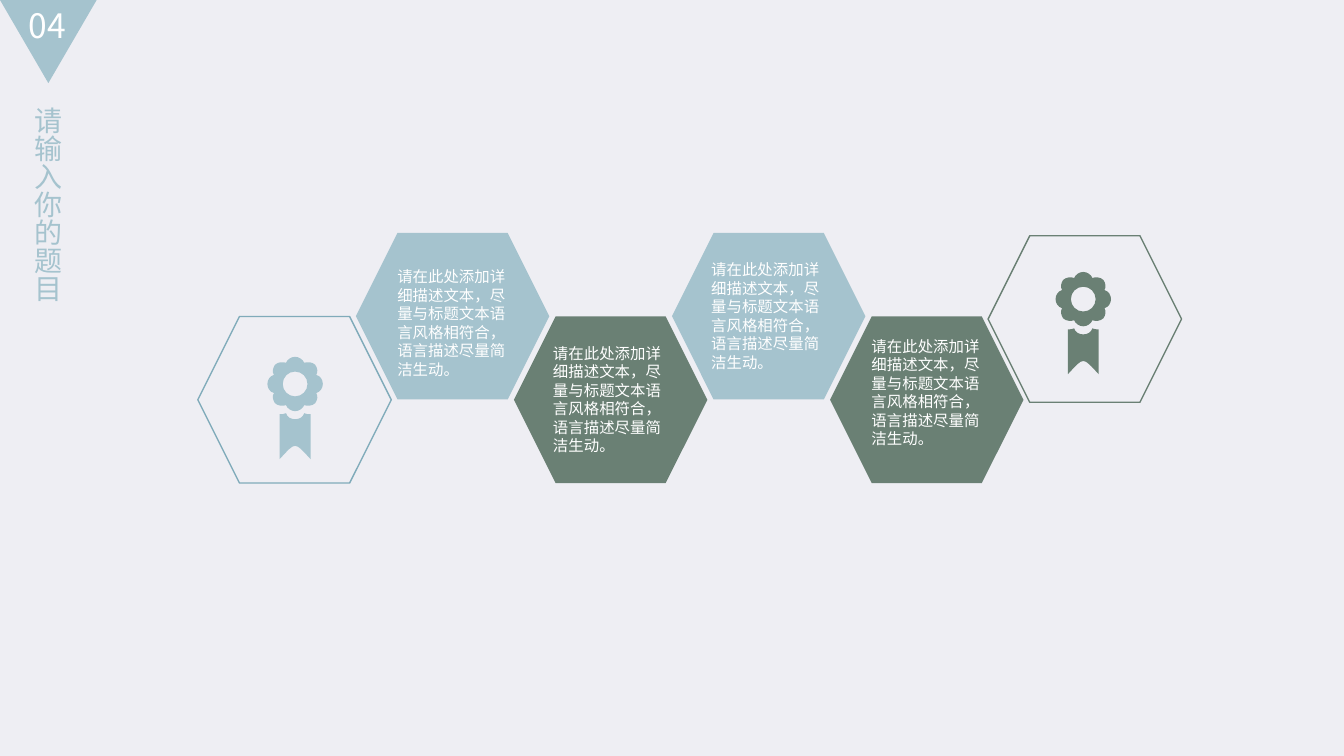
from lxml import etree
from pptx import Presentation
from pptx.dml.color import RGBColor
from pptx.enum.shapes import MSO_SHAPE
from pptx.enum.text import MSO_AUTO_SIZE
from pptx.oxml.ns import qn
from pptx.util import Pt

HEXAGON = MSO_SHAPE.HEXAGON
TRIANGLE = MSO_SHAPE.ISOSCELES_TRIANGLE
FIT_SHAPE = MSO_AUTO_SIZE.SHAPE_TO_FIT_TEXT

BACKGROUND = RGBColor(0xEE, 0xEE, 0xF3)
BLUE = RGBColor(0xA5, 0xC3, 0xCE)
BLUE_LINE = RGBColor(0x80, 0xAB, 0xBA)
GREEN = RGBColor(0x6A, 0x80, 0x74)
WHITE = RGBColor(0xFF, 0xFF, 0xFF)

FONT = "Noto Sans CJK SC"
DESCRIPTION = "请在此处添加详细描述文本，尽量与标题文本语言风格相符合，语言描述尽量简洁生动。"

HEXAGON_WIDTH, HEXAGON_HEIGHT = 138.2, 119
HEXAGON_STEP = 112.9
UPPER, LOWER, LAST = 0, 59.7, 2

MEDAL_UNIT = 0.72
PETAL_QUARTER = [(0, -27), (4, -27), (8, -24), (9, -21), (12, -22), (17, -22), (20, -19),
                 (22, -16), (23, -12), (21, -9), (25, -8), (27.5, -4), (27.5, 0)]
HOLE_QUARTER = [(0, -12.3), (6.8, -12.3), (12.3, -6.8), (12.3, 0)]
RIBBON_HALF = [(0, 35), (4, 35), (8, 33), (9, 29), (11, 30), (13, 30), (15.3, 30),
               (15.3, 74.5), (15.3, 74.5), (15.3, 74.5)]
RIBBON_NOTCH = [(-1, 57), (1, 57)]


def add_text(slide, box, text, size, color, wrap=True):
    """Add a text box in one font and return it."""
    shape = slide.shapes.add_textbox(*(Pt(value) for value in box))
    frame = shape.text_frame
    frame.word_wrap = wrap
    frame.auto_size = FIT_SHAPE
    paragraph = frame.paragraphs[0]
    paragraph.text = text
    paragraph.font.size = Pt(size)
    paragraph.font.color.rgb = color
    paragraph.font.name = FONT
    for properties in shape.element.iter(qn("a:defRPr")):
        etree.SubElement(properties, qn("a:ea")).set("typeface", FONT)
    return shape


def add_preset(slide, kind, box, fill=None, line=None):
    """Add a flat preset shape with an optional fill and outline."""
    shape = slide.shapes.add_shape(kind, *(Pt(value) for value in box))
    shape.shadow.inherit = False
    if fill is None:
        shape.fill.background()
    else:
        shape.fill.solid()
        shape.fill.fore_color.rgb = fill
    if line is None:
        shape.line.fill.background()
    else:
        shape.line.color.rgb = line
        shape.line.width = Pt(1)
    return shape


def mirror_quarter(quarter):
    """Complete a closed outline from its upper right quarter."""
    half = quarter + [(x, -y) for x, y in quarter[-2::-1]]
    return half + [(-x, y) for x, y in half[-2::-1]]


def bend_segments(shape):
    """Merge every three line segments of a freeform into one cubic curve."""
    segments = list(shape.element.iter(qn("a:lnTo")))
    for start in range(0, len(segments), 3):
        curve = etree.Element(qn("a:cubicBezTo"))
        segments[start].addprevious(curve)
        for segment in segments[start:start + 3]:
            curve.append(segment[0])
            segment.getparent().remove(segment)


def add_medal(slide, center_x, center_y, color):
    """Draw a rosette with a hole and a ribbon around the given centre."""
    ribbon = RIBBON_HALF + RIBBON_NOTCH + [(-x, y) for x, y in reversed(RIBBON_HALF)]
    builder = None
    for controls in (mirror_quarter(PETAL_QUARTER), mirror_quarter(HOLE_QUARTER), ribbon):
        points = [(Pt(center_x + x * MEDAL_UNIT), Pt(center_y + y * MEDAL_UNIT))
                  for x, y in controls]
        if builder is None:
            builder = slide.shapes.build_freeform(*points[0])
        else:
            builder.move_to(*points[0])
        builder.add_line_segments(points[1:], close=True)
    shape = builder.convert_to_shape()
    bend_segments(shape)
    shape.shadow.inherit = False
    shape.fill.solid()
    shape.fill.fore_color.rgb = color
    shape.line.fill.background()


def add_heading(slide, left, top):
    """Place the section number in its triangle and the vertical title."""
    triangle = add_preset(slide, TRIANGLE, (left, top, 69.1, 59.4), BLUE)
    triangle.element.spPr.find(qn("a:xfrm")).set("flipV", "1")
    add_text(slide, (left + 13.4, top, 50.4, 36), "04", 24, WHITE)
    title = add_text(slide, (left + 10.8, top + 69.4, 38.9, 148.3),
                     "请输入你的题目", 20, BLUE, wrap=False)
    title.element.txBody.find(qn("a:bodyPr")).set("vert", "eaVert")


def add_hexagon_chain(slide, left, top):
    """Place four described hexagons between two outlined medal hexagons."""
    described = [(1, UPPER, BLUE, 22.5, 20.9), (2, LOWER, GREEN, 20.8, 15.9),
                 (3, UPPER, BLUE, 20.9, 16), (4, LOWER, GREEN, 22.5, 10.9)]
    medals = [(0, LOWER, BLUE_LINE, BLUE, 69.5, 48.2), (5, LAST, GREEN, GREEN, 68, 45.3)]
    size = HEXAGON_WIDTH, HEXAGON_HEIGHT
    for column, drop, color, _, _ in described:
        add_preset(slide, HEXAGON, (left + column * HEXAGON_STEP, top + drop, *size), color)
    for column, drop, line, _, _, _ in medals:
        add_preset(slide, HEXAGON, (left + column * HEXAGON_STEP, top + drop, *size), line=line)
    for column, drop, _, color, inset_x, inset_y in medals:
        add_medal(slide, left + column * HEXAGON_STEP + inset_x, top + drop + inset_y, color)
    for column, drop, _, inset_x, inset_y in described:
        box = (left + column * HEXAGON_STEP + inset_x, top + drop + inset_y, 101.5, 87.1)
        add_text(slide, box, DESCRIPTION, 11, WHITE)


def main():
    """Build and save the slide."""
    presentation = Presentation()
    presentation.slide_width, presentation.slide_height = Pt(960), Pt(540)
    slide = presentation.slides.add_slide(presentation.slide_layouts[6])
    slide.background.fill.solid()
    slide.background.fill.fore_color.rgb = BACKGROUND
    add_heading(slide, 0, 0)
    add_hexagon_chain(slide, 141.3, 166.4)
    presentation.save("out.pptx")


if __name__ == "__main__":
    main()
